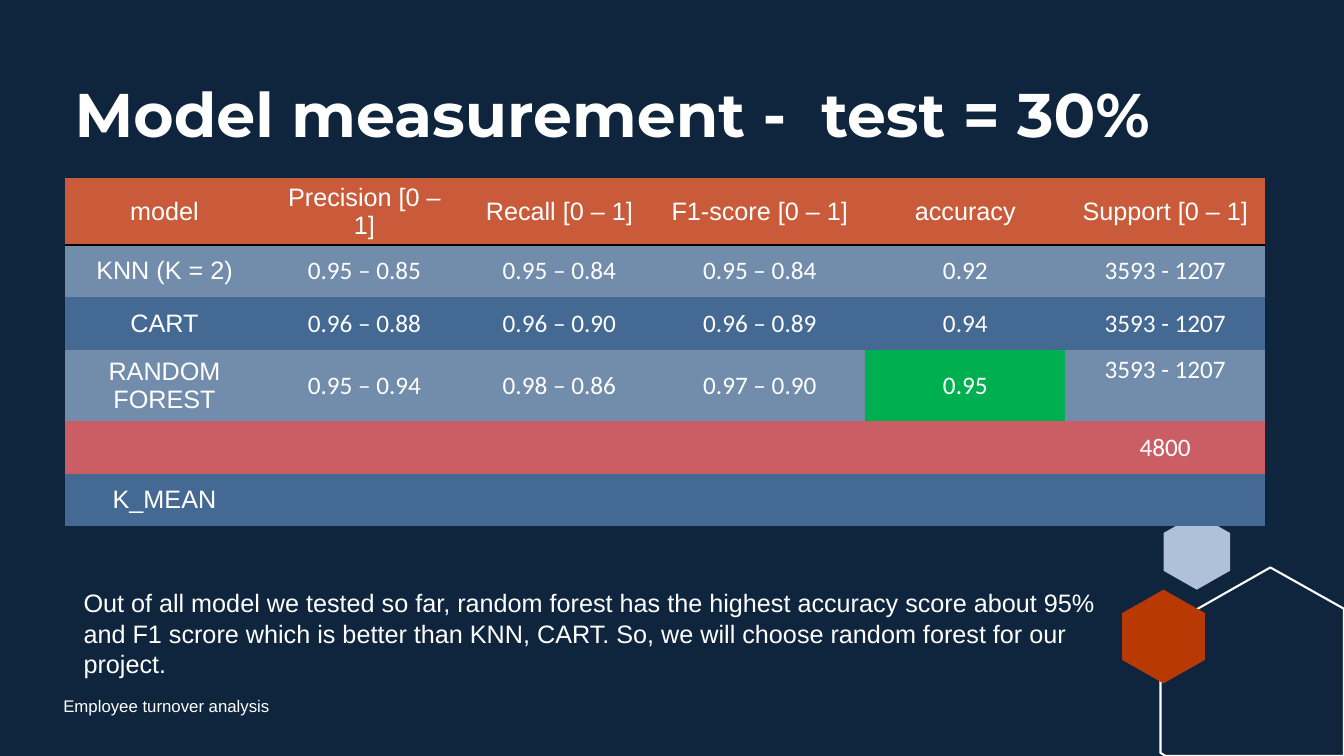
"""Build the model measurement slide."""
from pptx import Presentation
from pptx import util as u
from pptx.dml.color import RGBColor
from pptx.enum import text
from pptx.oxml import parse_xml
from pptx.oxml.ns import nsdecls, qn

WIDTH, HEIGHT = 13.33, 7.5
NAVY, WHITE, BLACK = "0F253E", "FFFFFF", "000000"
RUST, STEEL, BLUE, RED, GREEN = "C95B3A", "728DAB", "446992", "CB5E64", "00B050"
PLAIN_STYLE = "{2D5ABB26-0587-4C30-8999-92F81FD0307C}"

TITLE = "Model measurement -  test = 30%"
ROWS = [
    (RUST, 0.66, ["model", "Precision [0 – 1]", "Recall [0 – 1]",
                  "F1-score [0 – 1]", "accuracy", "Support [0 – 1]"]),
    (STEEL, 0.52, ["KNN (K = 2)", "0.95 – 0.85", "0.95 – 0.84",
                   "0.95 – 0.84", "0.92", "3593 - 1207"]),
    (BLUE, 0.52, ["CART", "0.96 – 0.88", "0.96 – 0.90",
                  "0.96 – 0.89", "0.94", "3593 - 1207"]),
    (STEEL, 0.71, ["RANDOM FOREST", "0.95 – 0.94", "0.98 – 0.86",
                   "0.97 – 0.90", "0.95", "3593 - 1207"]),
    (RED, 0.52, ["", "", "", "", "", "4800"]),
    (BLUE, 0.52, ["K_MEAN", "", "", "", "", ""]),
]
COLUMNS = [1.98, 1.98, 1.88, 2.09, 1.98, 1.98]
TABLE_LEFT, TABLE_TOP, TABLE_WIDTH = 0.64, 1.77, 11.91
BORDERS = {0: [("lnB", BLACK)], 1: [("lnT", BLACK), ("lnB", None)], 2: [("lnT", None)]}
BEST, TOP_ALIGNED = (3, 4), (3, 5)
NOTES = [
    ("Employee turnover analysis", 12, (0.53, 6.8, 4.5, 0.4)),
    ("Out of all model we tested so far, random forest has the highest accuracy "
     "score about 95% and F1 scrore which is better than KNN, CART. So, we will "
     "choose random forest for our project.", 18, (0.73, 5.28, 10.35, 2)),
]


def hexagon(left, top, width, height):
    """Return the corners of an upright hexagon."""
    shares = [(0.5, 0), (1, 0.25), (1, 0.75), (0.5, 1), (0, 0.75), (0, 0.25)]
    return [(left + x * width, top + y * height) for x, y in shares]


OUTLINE = [(12.6, 5.63), (WIDTH, 6.04), (WIDTH, HEIGHT),
           (11.56, HEIGHT), (11.51, 7.47), (11.51, 6.25)]
HEXAGONS = [
    (hexagon(11.54, 5.1, 0.66, 0.75), "AEC1D8", None),
    (OUTLINE, None, WHITE),
    (hexagon(11.13, 5.85, 0.82, 0.93), "B83903", None),
]


def color(value):
    """Turn a hex string into a colour."""
    return RGBColor.from_string(value)


def paint(fill, value):
    """Fill with one colour, or with none."""
    if value:
        fill.solid()
        fill.fore_color.rgb = color(value)
    else:
        fill.background()


def write(frame, words, **formats):
    """Put one formatted paragraph in a text frame."""
    para = frame.paragraphs[0]
    span = para.add_run()
    span.text = words
    span.font.color.rgb = color(WHITE)
    for name, value in formats.items():
        setattr(span.font, name, value)
    return para


def add_hexagons(slide):
    """Draw the corner decoration."""
    for corners, fill, line in HEXAGONS:
        points = [(u.Inches(x), u.Inches(y)) for x, y in corners]
        builder = slide.shapes.build_freeform(*points[0])
        builder.add_line_segments(points[1:], close=True)
        shape = builder.convert_to_shape()
        shape.shadow.inherit = False
        paint(shape.fill, fill)
        paint(shape.line.fill, line)
        if line:
            shape.line.width = u.Pt(1.5)


def add_title(slide):
    """Place and format the title."""
    title = slide.shapes.title
    for name, value in zip(("left", "top", "width", "height"), (0.64, 0.79, 11.91, 1.55)):
        setattr(title, name, u.Inches(value))
    title.text_frame.vertical_anchor = text.MSO_ANCHOR.TOP
    para = write(title.text_frame, TITLE, size=u.Pt(44), name="Montserrat", bold=True)
    para.alignment = text.PP_ALIGN.LEFT
    para.line_spacing = 0.9


def add_borders(cell, borders):
    """Set the listed sides of a cell, each with a colour or without a line."""
    for index, (side, value) in enumerate(borders):
        fill = (f'<a:solidFill><a:srgbClr val="{value}"/></a:solidFill>' if value
                else '<a:noFill/>')
        line = parse_xml(f'<a:{side} {nsdecls("a")} w="19050">{fill}</a:{side}>')
        cell._tc.get_or_add_tcPr().insert(index, line)


def add_scores(slide):
    """Build the table of scores."""
    heights = [height for _, height, _ in ROWS]
    place = [u.Inches(n) for n in (TABLE_LEFT, TABLE_TOP, TABLE_WIDTH, sum(heights))]
    table = slide.shapes.add_table(len(ROWS), len(COLUMNS), *place).table
    table.first_row = table.horz_banding = False
    table._tbl.tblPr.find(qn("a:tableStyleId")).text = PLAIN_STYLE
    for column, width in zip(table.columns, COLUMNS):
        column.width = u.Inches(width * TABLE_WIDTH / sum(COLUMNS))
    for r, (fill, height, words) in enumerate(ROWS):
        table.rows[r].height = u.Inches(height)
        for c, word in enumerate(words):
            cell = table.cell(r, c)
            paint(cell.fill, GREEN if (r, c) == BEST else fill)
            cell.vertical_anchor = (text.MSO_ANCHOR.TOP if (r, c) == TOP_ALIGNED
                                    else text.MSO_ANCHOR.MIDDLE)
            add_borders(cell, BORDERS.get(r, []))
            if word:
                face = "Arial" if r == 0 or c == 0 else "Calibri"
                para = write(cell.text_frame, word, size=u.Pt(18), name=face)
                para.alignment = text.PP_ALIGN.CENTER


def add_notes(slide):
    """Add the conclusion and the footer."""
    for words, size, place in NOTES:
        frame = slide.shapes.add_textbox(*(u.Inches(n) for n in place)).text_frame
        frame.word_wrap = True
        frame.vertical_anchor = text.MSO_ANCHOR.MIDDLE
        write(frame, words, size=u.Pt(size), name="Arial")


def main():
    """Assemble and save the deck."""
    deck = Presentation()
    deck.slide_width, deck.slide_height = u.Inches(WIDTH), u.Inches(HEIGHT)
    slide = deck.slides.add_slide(deck.slide_layouts[5])
    paint(slide.background.fill, NAVY)
    add_hexagons(slide)
    add_title(slide)
    add_scores(slide)
    add_notes(slide)
    deck.save("out.pptx")


if __name__ == "__main__":
    main()
